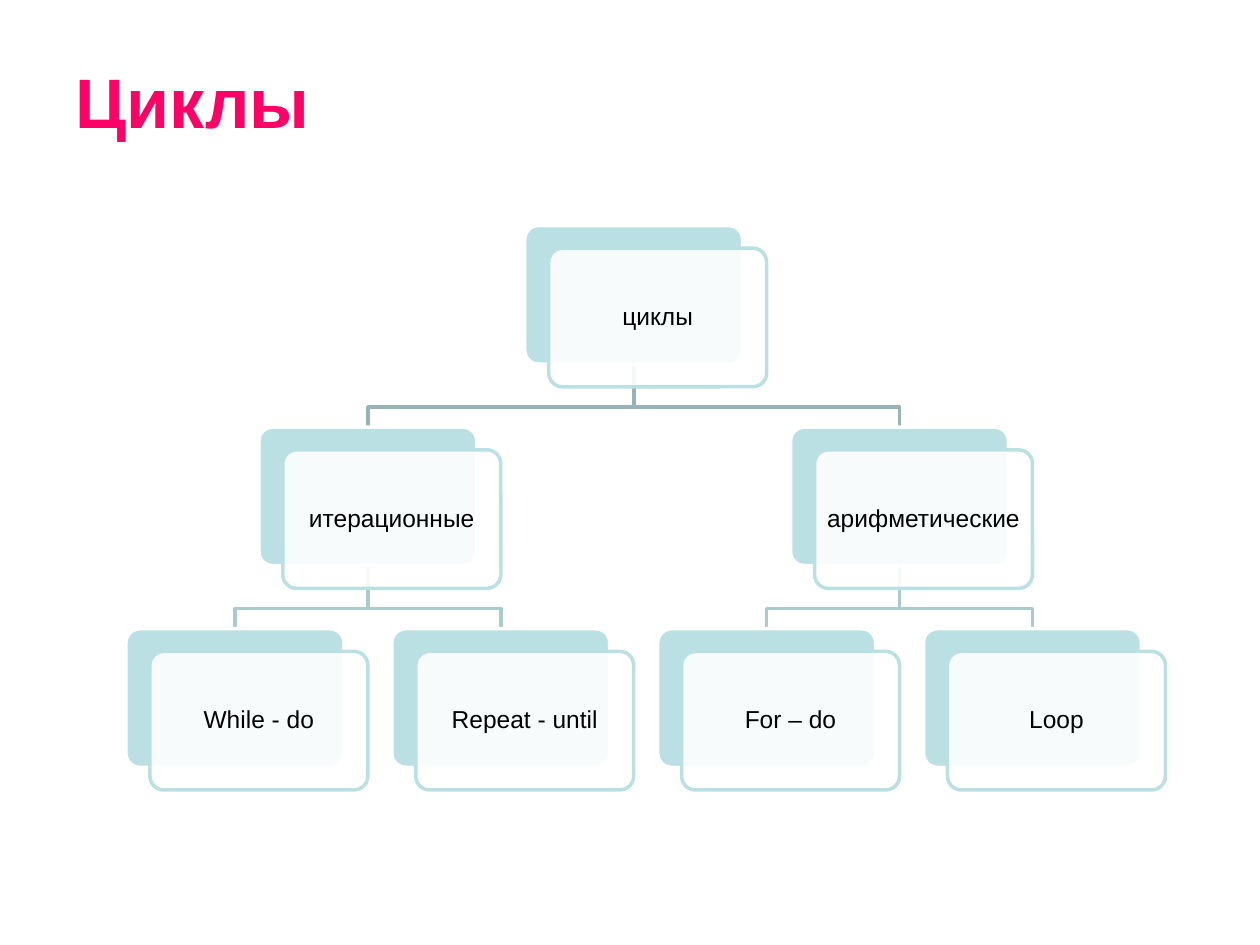
from dataclasses import dataclass

from lxml.etree import SubElement
from pptx import Presentation
from pptx.dml.color import RGBColor
from pptx.enum.shapes import MSO_SHAPE
from pptx.enum.text import MSO_ANCHOR, MSO_AUTO_SIZE, PP_ALIGN
from pptx.oxml.ns import qn
from pptx.util import Inches, Pt


@dataclass(frozen=True)
class Theme:
    font: str = "Arial"
    title: str = "FF0066"
    text: str = "000000"
    card: str = "BBE0E3"
    paper: str = "FFFFFF"
    links: tuple = ("96B3B6", "AACBCE")  # one for each level
    big: int = 40
    small: int = 14
    line: int = 2


THEME = Theme()
CARD = (1.73, 1.1)
SHIFT = (0.19, 0.18)  # from back card to front card
LEAVES, LEVELS = 4, 3

# Label, column, row, index of parent
NODES = [
    ("циклы", 1.5, 0, None),
    ("итерационные", 0.5, 1, 0),
    ("арифметические", 2.5, 1, 0),
    ("While - do", 0, 2, 1),
    ("Repeat - until", 1, 2, 1),
    ("For – do", 2, 2, 2),
    ("Loop", 3, 2, 2),
]


def color(code):
    return RGBColor.from_string(code)


def style(para, size, code, bold=False):
    for run in para.runs:
        font = run.font
        font.name, font.size, font.bold = THEME.font, Pt(size), bold
        font.color.rgb = color(code)


def add_title(slide, box, text):
    title = slide.shapes.title
    title.left, title.top, title.width, title.height = map(Inches, box)
    frame = title.text_frame
    frame.text = text
    frame.auto_size = MSO_AUTO_SIZE.NONE
    frame.vertical_anchor = MSO_ANCHOR.MIDDLE
    para = frame.paragraphs[0]
    para.alignment = PP_ALIGN.LEFT
    para.line_spacing = Pt(30)
    style(para, THEME.big, THEME.title, True)


def add_link(slide, start, end, code):
    """Draw a bent line down from start to end, turning at 68% of the drop."""
    (x1, y1), (x2, y2) = start, end
    bend = y1 + 0.68 * (y2 - y1)
    points = [tuple(map(Inches, p)) for p in ((x1, y1), (x1, bend), (x2, bend), end)]
    build = slide.shapes.build_freeform(*points[0])
    build.add_line_segments(points[1:], close=False)
    link = build.convert_to_shape()
    link.shadow.inherit = False
    link.fill.background()
    link.line.color.rgb = color(code)
    link.line.width = Pt(THEME.line)


def add_card(slide, left, top, fill, line):
    card = slide.shapes.add_shape(
        MSO_SHAPE.ROUNDED_RECTANGLE, *map(Inches, (left, top, *CARD)))
    card.adjustments[0] = 0.1
    card.shadow.inherit = False
    card.fill.solid()
    card.fill.fore_color.rgb = color(fill)
    card.line.color.rgb = color(line)
    card.line.width = Pt(THEME.line)
    return card


def add_node(slide, left, top, label):
    add_card(slide, left, top, THEME.card, THEME.paper)
    front = add_card(slide, left + SHIFT[0], top + SHIFT[1], THEME.paper, THEME.card)
    tint = front.fill._xPr.find(qn("a:solidFill"))[0]
    SubElement(tint, qn("a:alpha"), val="90000")
    frame = front.text_frame
    frame.text = label
    frame.word_wrap = True
    frame.vertical_anchor = MSO_ANCHOR.MIDDLE
    frame.margin_left = frame.margin_right = Inches(0.06)
    frame.margin_top = frame.margin_bottom = Inches(0.06)
    para = frame.paragraphs[0]
    para.alignment = PP_ALIGN.CENTER
    para.line_spacing = 0.9
    style(para, THEME.small, THEME.text)


def add_tree(slide, box, nodes):
    left, top, width, height = box
    col = (width - CARD[0] - SHIFT[0]) / (LEAVES - 1)
    row = (height - CARD[1] - SHIFT[1]) / (LEVELS - 1)
    spots = [(left + c * col, top + r * row) for _, c, r, _ in nodes]
    for (x, y), (_, _, level, parent) in zip(spots, nodes):
        if parent is not None:
            px, py = spots[parent]
            half = CARD[0] / 2
            add_link(slide, (px + half, py + CARD[1]), (x + half, y),
                     THEME.links[level - 1])
    for (x, y), (label, *_) in zip(spots, nodes):
        add_node(slide, x, y, label)


def main():
    deck = Presentation()
    deck.slide_width, deck.slide_height = Inches(10), Inches(7.5)
    slide = deck.slides.add_slide(deck.slide_layouts[5])
    add_title(slide, (0.5, 0.3, 9, 1.25), "Циклы")
    add_tree(slide, (1, 1.79, 8.25, 4.48), NODES)
    deck.save("out.pptx")


if __name__ == "__main__":
    main()
